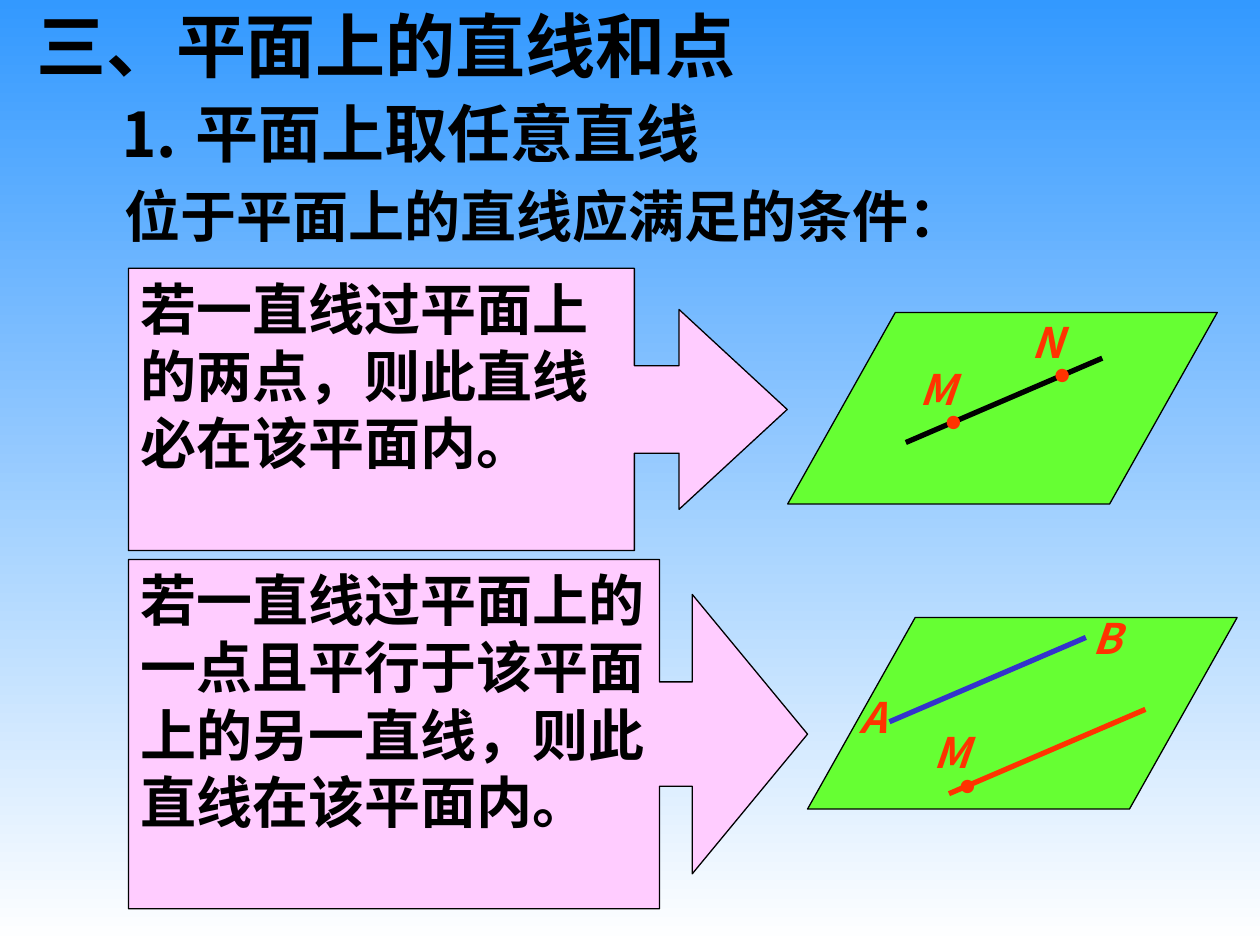
import pptx
import pptx.util
import pptx.dml.color
import pptx.enum.shapes
import pptx.enum.text
import pptx.oxml.ns
import lxml.etree

Cm, Pt = pptx.util.Cm, pptx.util.Pt
SHAPE = pptx.enum.shapes.MSO_SHAPE
ANCHOR = pptx.enum.text.MSO_ANCHOR
qn = pptx.oxml.ns.qn

CJK = "Noto Sans CJK SC"
BLACK, RED, BLUE = "000000", "FF3300", "3333CC"
GREEN, PINK = "66FF33", "FFCCFF"


def rgb(color):
    return pptx.dml.color.RGBColor.from_string(color)


def style_run(r, size, font, color, bold=True, italic=False, east=CJK):
    r.font.size = Pt(size)
    r.font.name = font
    r.font.bold = bold
    r.font.italic = italic
    r.font.color.rgb = rgb(color)
    if east:
        latin = r.font._element.find(qn("a:latin"))
        ea = lxml.etree.Element(qn("a:ea"), typeface=east)
        latin.addnext(ea)


def add_text(shapes, text, box, size, font, color, anchor=ANCHOR.TOP, **style):
    s = shapes.add_textbox(*map(Cm, box))
    tf = s.text_frame
    tf.word_wrap = False
    tf.vertical_anchor = anchor
    tf.text = text
    style_run(tf.paragraphs[0].runs[0], size, font, color, **style)


def add_heading(shapes, text, box, size):
    add_text(shapes, text, box, size, "Times New Roman", BLACK, ANCHOR.MIDDLE)


def add_letter(shapes, text, left, top, width):
    add_text(shapes, text, (left, top, width, 1.27), 24, CJK, RED, italic=True)


def add_dot(shapes, left, top):
    add_text(shapes, "●", (left, top, 0.81, 0.69), 10, "Cambria", RED,
             bold=False, east=None)


def add_outlined(shapes, kind, box, fill, adjustments):
    s = shapes.add_shape(kind, *map(Cm, box))
    s.shadow.inherit = False
    s.fill.solid()
    s.fill.fore_color.rgb = rgb(fill)
    s.line.color.rgb = rgb(BLACK)
    s.line.width = Pt(0.75)
    for i, value in enumerate(adjustments):
        s.adjustments[i] = value
    return s


def add_plane(shapes, left, top):
    add_outlined(shapes, SHAPE.PARALLELOGRAM, (left, top, 8.66, 3.86),
                 GREEN, [0.562])


def add_line(shapes, left, bottom, color):
    """All lines rise to the right with the same slope and length."""
    s = shapes.add_connector(pptx.enum.shapes.MSO_CONNECTOR.STRAIGHT,
                             Cm(left), Cm(bottom),
                             Cm(left + 3.96), Cm(bottom - 1.7))
    s.line.color.rgb = rgb(color)
    s.line.width = Pt(3)
    lxml.etree.SubElement(s._element.spPr, qn("a:effectLst"))


def add_callout(shapes, text, box, adjustments):
    s = add_outlined(shapes, SHAPE.RIGHT_ARROW_CALLOUT, box, PINK, adjustments)
    tf = s.text_frame
    tf.word_wrap = True
    tf.vertical_anchor = ANCHOR.TOP
    tf.text = text
    p = tf.paragraphs[0]
    p.alignment = pptx.enum.text.PP_ALIGN.LEFT
    style_run(p.runs[0], 32, "Times New Roman", BLACK)


def set_background(slide):
    fill = slide.background.fill
    fill.gradient()
    fill.gradient_angle = 270
    for stop, color, position in zip(fill.gradient_stops,
                                     ("3399FF", "FFFFFF"), (0, 1)):
        stop.color.rgb = rgb(color)
        stop.position = position


def main():
    prs = pptx.Presentation()
    prs.slide_width, prs.slide_height = Cm(25.4), Cm(19.05)
    slide = prs.slides.add_slide(prs.slide_layouts[6])
    set_background(slide)
    shapes = slide.shapes

    # Headings
    add_heading(shapes, "三、平面上的直线和点", (0.48, -0.08, 14.61, 1.96), 40)
    add_heading(shapes, "⒈ 平面上取任意直线", (2.13, 1.78, 12.22, 1.78), 36)
    add_heading(shapes, "位于平面上的直线应满足的条件：",
                (2.26, 3.53, 17.45, 1.63), 32)

    # Line through two points of the plane
    two_points = shapes.add_group_shape().shapes
    add_plane(two_points, 15.88, 6.3)
    add_line(two_points, 18.26, 8.92, BLACK)
    add_dot(two_points, 21.01, 7.19)
    add_dot(two_points, 18.82, 8.15)
    add_letter(two_points, "M", 18.29, 7.21, 1.24)
    add_letter(two_points, "N", 20.55, 6.25, 1.14)

    # Line through one point, parallel to AB
    parallel = shapes.add_group_shape().shapes
    add_plane(parallel, 16.28, 12.45)
    add_line(parallel, 17.93, 14.55, BLUE)
    add_letter(parallel, "A", 17.07, 13.82, 1.04)
    add_letter(parallel, "B", 21.77, 12.22, 1.02)
    add_dot(parallel, 19.1, 15.47)
    add_letter(parallel, "M", 18.57, 14.53, 1.24)
    add_line(parallel, 19.13, 16, RED)

    # Conditions
    add_callout(shapes, "若一直线过平面上的两点，则此直线必在该平面内。",
                (2.59, 5.41, 13.28, 5.69), (0.31, 0.354, 0.383, 0.768))
    add_callout(shapes, "若一直线过平面上的一点且平行于该平面上的另一直线，则此直线在该平面内。",
                (2.59, 11.28, 13.69, 7.04), (0.299, 0.4, 0.33, 0.782))

    prs.save("out.pptx")


if __name__ == "__main__":
    main()
